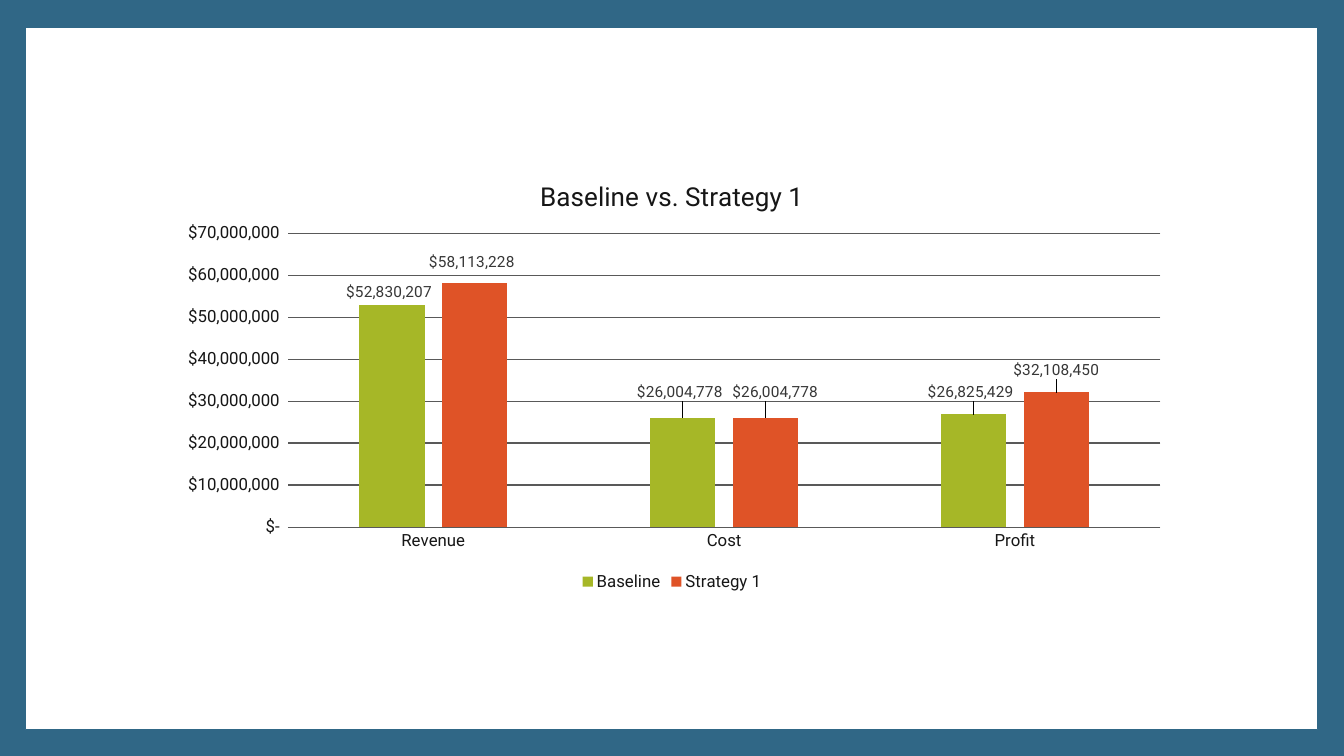
import copy
import lxml.etree
import pptx
import pptx.util
import pptx.oxml.ns
import pptx.dml.color
import pptx.chart.data
import pptx.enum.chart
import pptx.enum.shapes

WIDE, HIGH = 13.33, 7.5
CHART = (1.62, 1.59, 10.09, 4.32)
BLUE, WHITE, INK, GREY, GRID = "306786", "FFFFFF", "161616", "373737", "595959"
MONEY = '_("$"* #,##0_);_("$"* \\(#,##0\\);_("$"* "-"_);_(@_)'
GROUPS = ["Revenue", "Cost", "Profit"]
# Name, colour, values, and the label shifts in points that keep labels apart
SERIES = [
    ("Baseline", "A6B727", [52830207, 26004778, 26825429],
     [(-2, 0), (-2, -8.5), (-2, -6.5)]),
    ("Strategy 1", "DF5327", [58113228, 26004778, 32108450],
     [(-2, -5), (7, -8.5), (0, -6)]),
]


def paint(target, shade):
    """Give a fill or line format one solid colour."""
    fill = getattr(target, "fill", target)
    fill.solid()
    fill.fore_color.rgb = pptx.dml.color.RGBColor.from_string(shade)


def put(target, values):
    for name, value in values.items():
        setattr(target, name, value)


def style(font, size, shade=INK):
    put(font, {"name": "Roboto", "size": pptx.util.Pt(size), "bold": False})
    font.color.rgb = pptx.dml.color.RGBColor.from_string(shade)


def inches(box):
    return [pptx.util.Inches(part) for part in box]


def layout(**values):
    """Make a manual chart layout; numbers are points within the chart."""
    tag = pptx.oxml.ns.qn
    root = lxml.etree.Element(tag("c:layout"))
    manual = lxml.etree.SubElement(root, tag("c:manualLayout"))
    for name, value in values.items():
        if not isinstance(value, str):
            side = CHART[2] if name in "xw" else CHART[3]
            value = str(round(value / 72 / side, 4))
        lxml.etree.SubElement(manual, tag("c:" + name)).set("val", value)
    return root


def add_panel(slide, box):
    panel = slide.shapes.add_shape(
        pptx.enum.shapes.MSO_SHAPE.RECTANGLE, *inches(box))
    panel.shadow.inherit = False
    paint(panel.fill, WHITE)
    paint(panel.line, BLUE)
    panel.line.width = pptx.util.Pt(1)


def style_axes(chart):
    none = pptx.enum.chart.XL_TICK_MARK.NONE
    for axis in (chart.category_axis, chart.value_axis):
        put(axis, {"major_tick_mark": none, "minor_tick_mark": none})
        style(axis.tick_labels.font, 12)
    scale = chart.value_axis
    put(scale, {"minimum_scale": 0, "maximum_scale": 70e6,
                "major_unit": 10e6, "has_major_gridlines": True})
    put(scale.tick_labels, {"number_format": MONEY,
                            "number_format_is_linked": False})
    scale.format.line.fill.background()
    for line in (scale.major_gridlines.format.line,
                 chart.category_axis.format.line):
        paint(line, GRID)
        line.width = pptx.util.Pt(0.75)


def style_labels(bars, shifts):
    above = pptx.enum.chart.XL_LABEL_POSITION.OUTSIDE_END
    labels = bars.data_labels
    put(labels, {"show_value": True, "number_format": MONEY,
                 "number_format_is_linked": False, "position": above})
    style(labels.font, 11, GREY)
    for spot in range(len(shifts)):
        label = bars.points[spot].data_label
        label.position = above
        style(label.font, 11, GREY)
    money = bars._element.xpath("c:dLbls/c:numFmt")[0]
    marks = bars._element.xpath("c:dLbls/c:dLbl/c:idx")
    for mark, (x, y) in zip(marks, shifts):
        mark.addnext(copy.deepcopy(money))
        mark.addnext(layout(x=x, y=y))


def style_bars(plot):
    put(plot, {"gap_width": 219, "overlap": -27, "vary_by_categories": False})
    for bars, (_, shade, _, shifts) in zip(plot.series, SERIES):
        paint(bars.format, shade)
        bars.invert_if_negative = False
        style_labels(bars, shifts)


def place_plot(chart):
    area = chart._chartSpace.xpath("c:chart/c:plotArea")[0]
    for old in area.xpath("c:layout"):
        area.remove(old)
    area.insert(0, layout(layoutTarget="inner", xMode="edge", yMode="edge",
                          x=89, y=52, w=623, h=210))


def add_chart(slide, box):
    data = pptx.chart.data.CategoryChartData(number_format=MONEY)
    data.categories = GROUPS
    for name, _, values, _ in SERIES:
        data.add_series(name, values)
    kind = pptx.enum.chart.XL_CHART_TYPE.COLUMN_CLUSTERED
    chart = slide.shapes.add_chart(kind, *inches(box), data).chart
    put(chart, {"has_title": True, "has_legend": True})
    title = chart.chart_title
    title.include_in_layout = False
    title.text_frame.text = "Baseline vs. Strategy 1"
    style(title.text_frame.paragraphs[0].runs[0].font, 18.6)
    put(chart.legend, {
        "position": pptx.enum.chart.XL_LEGEND_POSITION.BOTTOM,
        "include_in_layout": False,
    })
    style(chart.legend.font, 12)
    style_axes(chart)
    style_bars(chart.plots[0])
    place_plot(chart)


def main():
    deck = pptx.Presentation()
    put(deck, {"slide_width": pptx.util.Inches(WIDE),
               "slide_height": pptx.util.Inches(HIGH)})
    slide = deck.slides.add_slide(deck.slide_layouts[6])
    paint(slide.background.fill, BLUE)
    add_panel(slide, (0.25, 0.27, 12.82, 6.97))
    add_chart(slide, CHART)
    deck.save("out.pptx")


if __name__ == "__main__":
    main()
